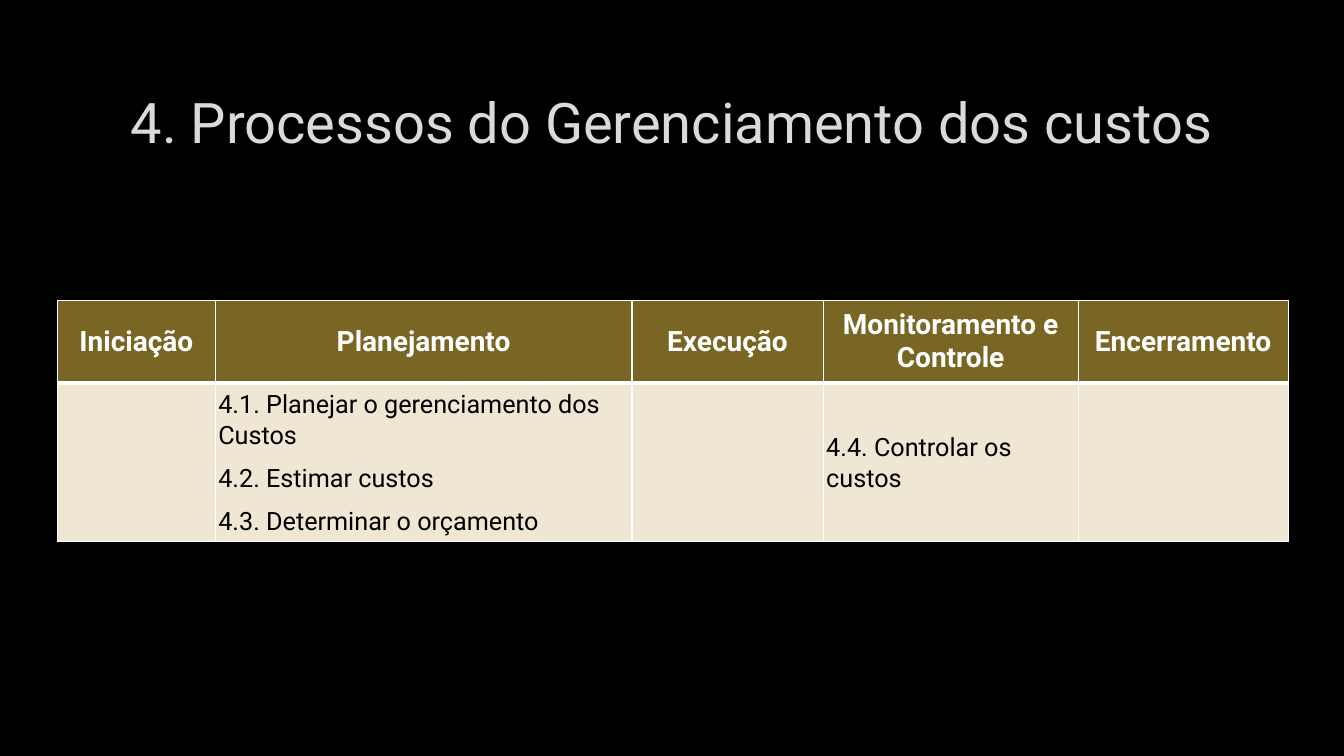
from dataclasses import dataclass

from lxml import etree
from pptx import Presentation
from pptx import util as u
from pptx.dml.color import RGBColor
from pptx.enum import text
from pptx.oxml import ns

EMU_PER_PX = 9525


@dataclass(frozen=True)
class Theme:
    font: str = "Roboto"
    background: str = "000000"
    title: str = "DADADA"
    title_outline: str = "404040"
    header_fill: str = "7A6624"
    header_text: str = "FFFFFF"
    body_fill: str = "EFE7D4"
    body_text: str = "000000"
    border: str = "FFFFFF"
    title_size: int = 40
    header_size: int = 20
    body_size: int = 18
    thin: int = 1
    thick: int = 3


@dataclass(frozen=True)
class Stage:
    name: str
    width: int
    processes: tuple[str, ...] = ()


THEME = Theme()
TITLE = "4. Processos do Gerenciamento dos custos"
STAGES = (
    Stage("Iniciação", 150),
    Stage("Planejamento", 397, (
        "4.1. Planejar o gerenciamento dos Custos",
        "4.2. Estimar custos",
        "4.3. Determinar o orçamento",
    )),
    Stage("Execução", 182),
    Stage("Monitoramento e Controle", 243, ("4.4. Controlar os custos",)),
    Stage("Encerramento", 200),
)
ROW_HEIGHTS = (79, 149)


def px(length: int) -> u.Emu:
    return u.Emu(length * EMU_PER_PX)


def add_span(para, words: str, size: int, color: str, bold: bool = False):
    span = para.add_run()
    span.text = words
    span.font.name = THEME.font
    span.font.size = u.Pt(size)
    span.font.bold = bold
    span.font.color.rgb = RGBColor.from_string(color)
    return span


def make_line(tag: str, width: float, color: str, alpha: int = 100):
    line = etree.Element(ns.qn(tag), w=str(int(u.Pt(width))))
    fill = etree.SubElement(line, ns.qn("a:solidFill"))
    tone = etree.SubElement(fill, ns.qn("a:srgbClr"), val=color)
    if alpha < 100:
        etree.SubElement(tone, ns.qn("a:alpha"), val=str(alpha * 1000))
    return line


def style_cell(cell, fill: str, top: int, bottom: int) -> None:
    cell.vertical_anchor = text.MSO_ANCHOR.MIDDLE
    cell.fill.solid()
    cell.fill.fore_color.rgb = RGBColor.from_string(fill)
    properties = cell._tc.get_or_add_tcPr()
    sides = {"a:lnL": THEME.thin, "a:lnR": THEME.thin, "a:lnT": top, "a:lnB": bottom}
    for index, (tag, width) in enumerate(sides.items()):
        properties.insert(index, make_line(tag, width, THEME.border))


def add_title(page) -> None:
    box = page.shapes.add_textbox(px(96), px(64), px(1087), px(102))
    frame = box.text_frame
    frame.word_wrap = True
    frame.vertical_anchor = text.MSO_ANCHOR.MIDDLE
    para = frame.paragraphs[0]
    para.alignment = text.PP_ALIGN.CENTER
    span = add_span(para, TITLE, THEME.title_size, THEME.title)
    outline = make_line("a:ln", 0.75, THEME.title_outline, alpha=10)
    span.font._element.insert(0, outline)


def fill_header(cell, name: str) -> None:
    style_cell(cell, THEME.header_fill, THEME.thin, THEME.thick)
    para = cell.text_frame.paragraphs[0]
    para.alignment = text.PP_ALIGN.CENTER
    add_span(para, name, THEME.header_size, THEME.header_text, bold=True)


def fill_body(cell, processes: tuple[str, ...]) -> None:
    style_cell(cell, THEME.body_fill, THEME.thick, THEME.thin)
    cell.margin_left = cell.margin_right = px(3)
    cell.margin_top = cell.margin_bottom = px(3)
    frame = cell.text_frame
    for index, process in enumerate(processes):
        para = frame.add_paragraph() if index else frame.paragraphs[0]
        para.line_spacing = 1.07
        para.space_after = u.Pt(8)
        add_span(para, process, THEME.body_size, THEME.body_text)


def add_process_table(page) -> None:
    width = sum(stage.width for stage in STAGES)
    table = page.shapes.add_table(
        len(ROW_HEIGHTS), len(STAGES), px(55), px(286), px(width), px(sum(ROW_HEIGHTS))
    ).table
    table.horz_banding = False
    for row, height in zip(table.rows, ROW_HEIGHTS):
        row.height = px(height)
    for index, stage in enumerate(STAGES):
        table.columns[index].width = px(stage.width)
        fill_header(table.cell(0, index), stage.name)
        fill_body(table.cell(1, index), stage.processes)


def main() -> None:
    deck = Presentation()
    deck.slide_width, deck.slide_height = px(1280), px(720)
    page = deck.slides.add_slide(deck.slide_layouts[6])
    page.background.fill.solid()
    page.background.fill.fore_color.rgb = RGBColor.from_string(THEME.background)
    add_title(page)
    add_process_table(page)
    deck.save("out.pptx")


if __name__ == "__main__":
    main()
